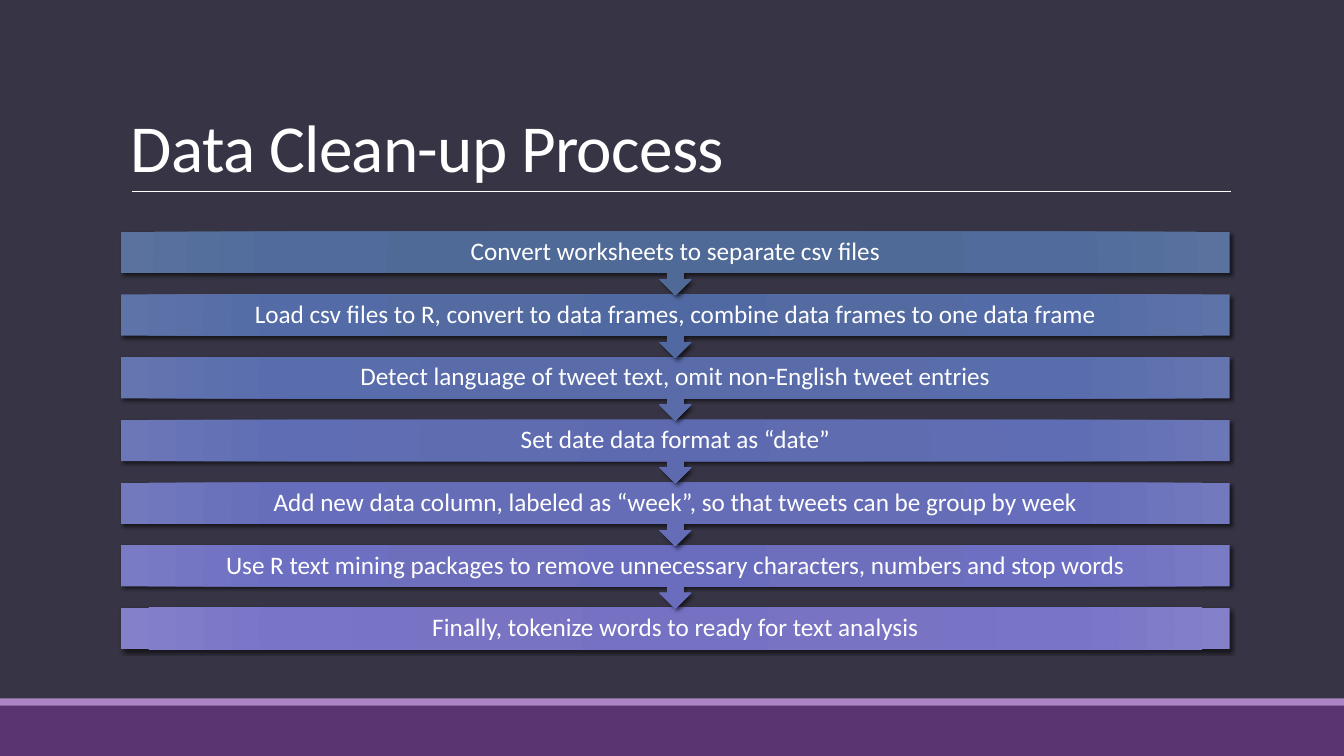
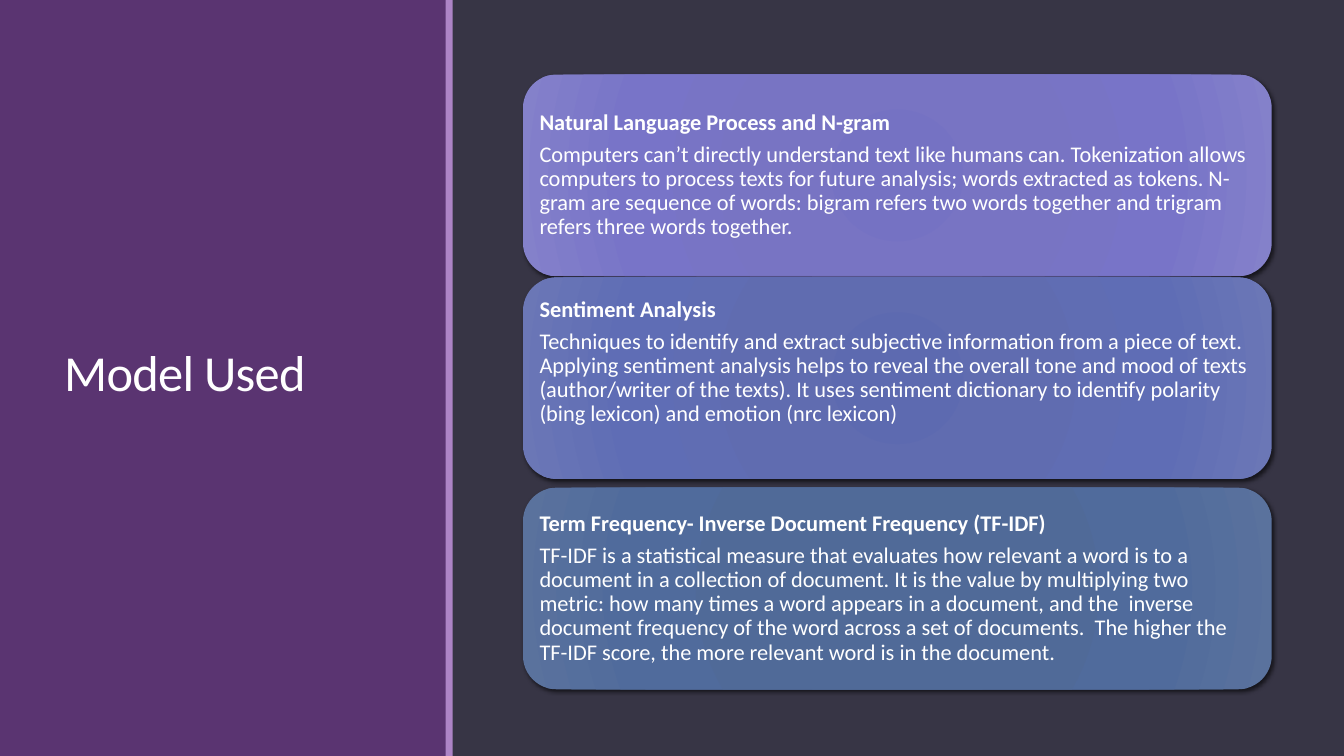
from lxml import etree
from pptx import Presentation
from pptx.dml.color import RGBColor
from pptx.enum.shapes import MSO_CONNECTOR, MSO_SHAPE
from pptx.enum.text import MSO_ANCHOR, PP_ALIGN
from pptx.oxml import parse_xml
from pptx.oxml.ns import qn
from pptx.util import Cm, Pt

RECT, ROUND = MSO_SHAPE.RECTANGLE, MSO_SHAPE.ROUNDED_RECTANGLE
CALLOUT = MSO_SHAPE.DOWN_ARROW_CALLOUT
STRAIGHT = MSO_CONNECTOR.STRAIGHT
MIDDLE, BOTTOM = MSO_ANCHOR.MIDDLE, MSO_ANCHOR.BOTTOM
LEFT, CENTER = PP_ALIGN.LEFT, PP_ALIGN.CENTER

FONT = "Calibri"
DARK, PURPLE, LILAC, WHITE = "373545", "5A3471", "AD84C6", "FFFFFF"
WIDTH, HEIGHT = 33.87, 19.05
STOPS = (0, 34, 70, 100)
A_NS = "http://schemas.openxmlformats.org/drawingml/2006/main"

# Gradient colours from blue to violet, one set for each step
TONES = [
    ("4E6998", "506A98", "506B9C", "5A729D"),
    ("5169A2", "546BA2", "536BA6", "5E73A7"),
    ("576AA9", "596BA9", "596CAE", "6475AF"),
    ("5D6AB0", "606CB0", "5F6DB5", "6B77B6"),
    ("646BB7", "666DB7", "666EBB", "7279BD"),
    ("6A6CBD", "6D6FBD", "6D6FC2", "797BC4"),
    ("7572C3", "7874C3", "7874C8", "8481CA"),
]

STEPS = [
    "Convert worksheets to separate csv files",
    "Load csv files to R, convert to data frames, combine data frames to one data frame",
    "Detect language of tweet text, omit non-English tweet entries",
    "Set date data format as “date”",
    "Add new data column, labeled as “week”, so that tweets can be group by week",
    "Use R text mining packages to remove unnecessary characters, numbers and stop words",
    "Finally, tokenize words to ready for text analysis",
]

# Top, extra space below the text, tone, heading, body
MODELS = [
    (1.88, 0, TONES[6], "Natural Language Process and N-gram",
     "Computers can’t directly understand text like humans can. Tokenization allows "
     "computers to process texts for future analysis; words extracted as tokens. "
     "N-gram are sequence of words: bigram refers two words together and trigram "
     "refers three words together."),
    (6.99, 0.81, TONES[3], "Sentiment Analysis",
     "Techniques to identify and extract subjective information from a piece of text. "
     "Applying sentiment analysis helps to reveal the overall tone and mood of texts "
     "(author/writer of the texts). It uses sentiment dictionary to identify polarity "
     "(bing lexicon) and emotion (nrc lexicon)"),
    (12.29, 0, TONES[0], "Term Frequency- Inverse Document Frequency (TF-IDF)",
     "TF-IDF is a statistical measure that evaluates how relevant a word is to a "
     "document in a collection of document. It is the value by multiplying two metric: "
     "how many times a word appears in a document, and the  inverse document frequency "
     "of the word across a set of documents.  The higher the TF-IDF score, the more "
     "relevant word is in the document."),
]


def rgb(value):
    return RGBColor.from_string(value)


def cm(box):
    return [Cm(v) for v in box]


def add_run(p, text, size, bold=False):
    r = p.add_run()
    r.text = text
    r.font.name, r.font.size, r.font.bold = FONT, Pt(size), bold
    r.font.color.rgb = rgb(WHITE)
    return r


def set_frame(tf, anchor, insets):
    tf.word_wrap = True
    tf.vertical_anchor = anchor
    tf.margin_left, tf.margin_top, tf.margin_right, tf.margin_bottom = cm(insets)


def add_band(s, box, color):
    sp = s.shapes.add_shape(RECT, *cm(box))
    sp.shadow.inherit = False
    sp.fill.solid()
    sp.fill.fore_color.rgb = rgb(color)
    sp.line.fill.background()


def add_glow_shape(s, kind, box, tones):
    """Shape with a circular gradient and a soft shadow."""
    sp = s.shapes.add_shape(kind, *cm(box))
    sp.line.fill.background()
    stops = "".join(
        f'<a:gs pos="{pos * 1000}"><a:srgbClr val="{tone}"/></a:gs>'
        for pos, tone in zip(STOPS, tones))
    grad = parse_xml(
        f'<a:gradFill xmlns:a="{A_NS}" rotWithShape="1"><a:gsLst>{stops}</a:gsLst>'
        '<a:path path="circle"><a:fillToRect l="100000" t="100000" r="100000" '
        'b="100000"/></a:path></a:gradFill>')
    effect = parse_xml(
        f'<a:effectLst xmlns:a="{A_NS}"><a:outerShdw blurRad="38100" dist="25400" '
        'dir="2700000" rotWithShape="0"><a:srgbClr val="000000">'
        '<a:alpha val="60000"/></a:srgbClr></a:outerShdw></a:effectLst>')
    spPr = sp._element.spPr
    spPr.find(qn("a:ln")).addprevious(grad)
    spPr.append(effect)
    return sp


def add_title(s, box, text, size, anchor):
    tf = s.shapes.add_textbox(*cm(box)).text_frame
    set_frame(tf, anchor, (0.25, 0.13, 0.25, 0.13))
    p = tf.paragraphs[0]
    p.line_spacing = 0.85
    r = add_run(p, text, size)
    r._r.get_or_add_rPr().set("spc", "-50")


def add_rule(s, x1, x2, y):
    line = s.shapes.add_connector(STRAIGHT, Cm(x1), Cm(y), Cm(x2), Cm(y))
    line.line.color.rgb = rgb(WHITE)
    line.line.width = Pt(0.5)
    etree.SubElement(line._element.spPr, qn("a:effectLst"))


def new_slide(prs):
    s = prs.slides.add_slide(prs.slide_layouts[6])
    s.background.fill.solid()
    s.background.fill.fore_color.rgb = rgb(DARK)
    return s


def add_steps(s, box, steps):
    """Stack of bars joined by arrows; each arrow lies over the next bar."""
    left, top, width, height = box
    bar = 1.04
    pitch = (height - bar) / (len(steps) - 1)
    for i in reversed(range(len(steps))):
        last = i == len(steps) - 1
        place = (left, top + i * pitch, width, bar if last else 1.6)
        sp = add_glow_shape(s, RECT if last else CALLOUT, place, TONES[i])
        set_frame(sp.text_frame, MIDDLE, (0.36, 0, 0.36, 0))
        p = sp.text_frame.paragraphs[0]
        p.alignment, p.line_spacing = CENTER, 0.9
        add_run(p, steps[i], 18)


def add_card(s, box, tones, heading, body, extra):
    sp = add_glow_shape(s, ROUND, box, tones)
    tf = sp.text_frame
    set_frame(tf, MIDDLE, (0.17, 0.17, 0.17, 0.17 + extra))
    for p, text, bold in ((tf.paragraphs[0], heading, True),
                          (tf.add_paragraph(), body, False)):
        p.alignment, p.line_spacing, p.space_after = LEFT, 0.9, Pt(5.6)
        add_run(p, text, 16, bold)


def process_slide(prs):
    s = new_slide(prs)
    # Footer bands
    add_band(s, (0, 17.78, WIDTH, 1.27), PURPLE)
    add_band(s, (0, 17.6, WIDTH, 0.18), LILAC)
    # Title and rule
    add_rule(s, 3.33, 31.01, 4.83)
    add_title(s, (3.05, 0.79, 27.94, 4.04), "Data Clean-up Process", 48, BOTTOM)
    # Steps
    add_steps(s, (3.05, 5.84, 27.94, 10.52), STEPS)


def model_slide(prs):
    s = new_slide(prs)
    # Side panel
    add_band(s, (0, 0, 11.25, HEIGHT), PURPLE)
    add_band(s, (11.23, 0, 0.18, HEIGHT), LILAC)
    add_title(s, (1.37, 1.45, 8.56, 16.03), "Model Used", 36, MIDDLE)
    # Cards
    for top, extra, tones, heading, body in MODELS:
        add_card(s, (13.18, top, 18.87, 5.08), tones, heading, body, extra)


prs = Presentation()
prs.slide_width, prs.slide_height = Cm(WIDTH), Cm(HEIGHT)
process_slide(prs)
model_slide(prs)
prs.save("out.pptx")
